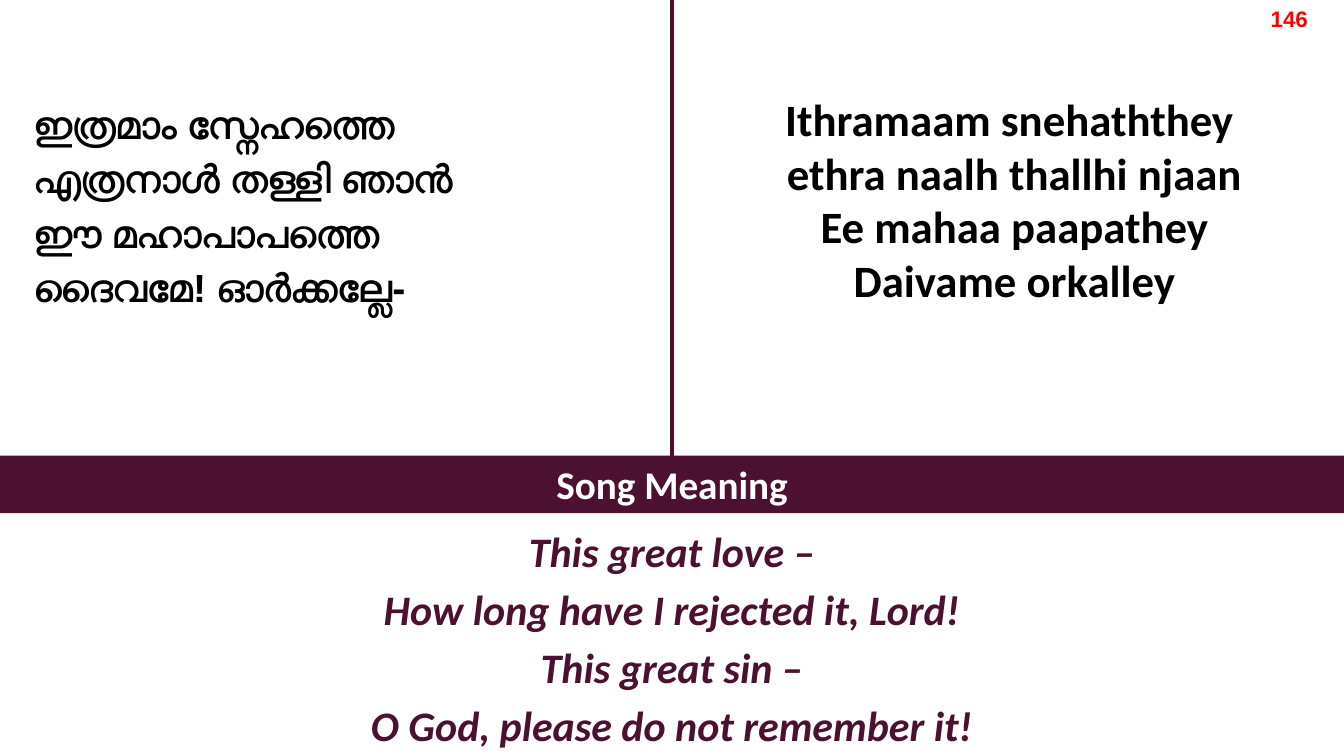
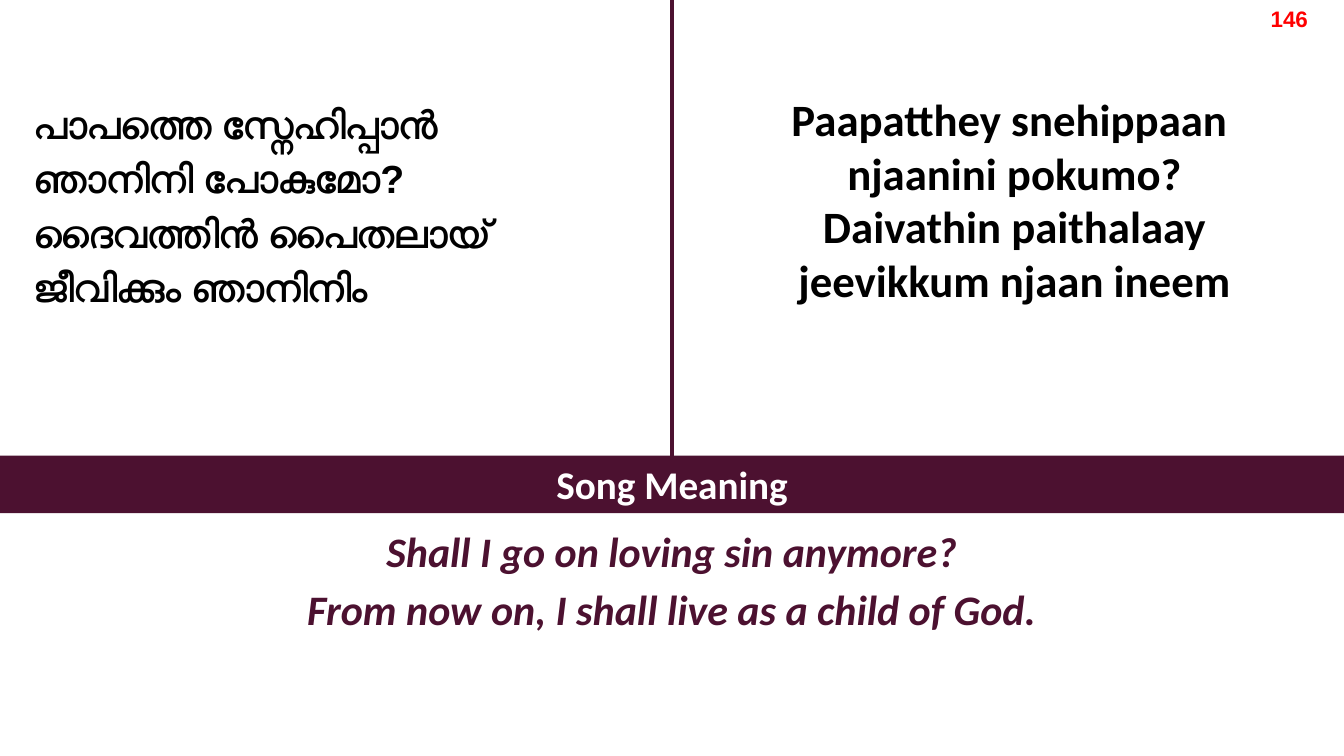
from lxml import etree
from pptx import Presentation
from pptx import util as u
from pptx.dml.color import RGBColor
from pptx.enum import shapes, text
from pptx.oxml.ns import qn

PLUM, BLACK, WHITE, RED = "4C1130", "000000", "FFFFFF", "FF0000"
WIDTH, HEIGHT = 33.87, 19.05
BAND_TOP, BAND_HEIGHT = 11.48, 1.45
MEANING_WIDTH, MEANING_LINE = 29.2, 1.47
SONG_NUMBER = "146"
CENTER, LEFT = text.PP_ALIGN.CENTER, text.PP_ALIGN.LEFT

VERSES = [
    (
        ["ഇത്രമാം സ്നേഹത്തെ", "എത്രനാൾ തള്ളി ഞാൻ",
         "ഈ മഹാപാപത്തെ", "ദൈവമേ! ഓർക്കല്ലേ-"],
        ["Ithramaam snehaththey ", "ethra naalh thallhi njaan",
         "Ee mahaa paapathey", "Daivame orkalley"],
        ["This great love –", "How long have I rejected it, Lord!",
         "This great sin –", "O God, please do not remember it!"],
    ),
    (
        ["പാപത്തെ സ്നേഹിപ്പാൻ", "ഞാനിനി പോകുമോ?",
         "ദൈവത്തിൻ പൈതലായ്", "ജീവിക്കും ഞാനിനിം"],
        ["Paapatthey snehippaan ", "njaanini pokumo?",
         "Daivathin paithalaay", "jeevikkum njaan ineem"],
        ["Shall I go on loving sin anymore?",
         "From now on, I shall live as a child of God."],
    ),
]


def color(value):
    return RGBColor.from_string(value)


def write(holder, lines, size, font, ink, align=CENTER, spacing=1.0,
          italic=False, inset=(0.25, 0.13), anchor=text.MSO_ANCHOR.TOP):
    frame = holder.text_frame
    frame.text = "\n".join(lines)
    frame.word_wrap = True
    frame.auto_size = text.MSO_AUTO_SIZE.NONE
    frame.vertical_anchor = anchor
    frame.margin_left = frame.margin_right = u.Cm(inset[0])
    frame.margin_top = frame.margin_bottom = u.Cm(inset[1])
    for paragraph in frame.paragraphs:
        paragraph.alignment = align
        paragraph.line_spacing = spacing
        for run in paragraph.runs:
            run.font.size = u.Pt(size)
            run.font.name = font
            run.font.bold = True
            run.font.italic = italic
            run.font.color.rgb = color(ink)
            complex_script = etree.SubElement(run.font._element, qn("a:cs"))
            complex_script.set("typeface", font)


def add_text(slide, box, lines, size, font, ink, **style):
    holder = slide.shapes.add_textbox(*map(u.Cm, box))
    write(holder, lines, size, font, ink, **style)


def add_title(slide, lines):
    title = slide.shapes.title
    title.left, title.top, title.width, title.height = map(
        u.Cm, (0.61, 0.36, 16.31, 9.45))
    write(title, lines, 28, "Arial", BLACK, align=LEFT, spacing=1.15,
          anchor=text.MSO_ANCHOR.MIDDLE)


def add_band(slide):
    band = slide.shapes.add_shape(
        shapes.MSO_SHAPE.RECTANGLE,
        *map(u.Cm, (0, BAND_TOP, WIDTH, BAND_HEIGHT)))
    band.shadow.inherit = False
    band.fill.solid()
    band.fill.fore_color.rgb = color(PLUM)
    band.line.fill.background()
    write(band, ["Song Meaning"], 28, "Calibri", WHITE)
    return band


def add_divider(slide, band):
    divider = slide.shapes.add_connector(
        shapes.MSO_CONNECTOR.STRAIGHT,
        *map(u.Cm, (WIDTH / 2, 0, WIDTH / 2, BAND_TOP)))
    divider.end_connect(band, 0)
    divider.line.color.rgb = color(PLUM)
    divider.line.width = u.Pt(3)
    etree.SubElement(divider._element.spPr, qn("a:effectLst"))


def add_verse(deck, malayalam, romanized, meaning):
    slide = deck.slides.add_slide(deck.slide_layouts.get_by_name("Title Only"))
    add_title(slide, malayalam)
    add_text(slide, (17.27, 2.16, 16.6, 5.79), romanized, 32, "Calibri", BLACK,
             inset=(0.3, 0.15))
    meaning_box = ((WIDTH - MEANING_WIDTH) / 2, BAND_TOP + BAND_HEIGHT,
                   MEANING_WIDTH, 0.25 + MEANING_LINE * len(meaning))
    add_text(slide, meaning_box, meaning, 30, "Calibri", PLUM,
             spacing=1.15, italic=True)
    add_divider(slide, add_band(slide))
    add_text(slide, (31.12, 0, 2.74, 0.94), [SONG_NUMBER], 16, "Arial", RED)


def main():
    deck = Presentation()
    deck.slide_width, deck.slide_height = u.Cm(WIDTH), u.Cm(HEIGHT)
    for verse in VERSES:
        add_verse(deck, *verse)
    deck.save("out.pptx")


if __name__ == "__main__":
    main()
